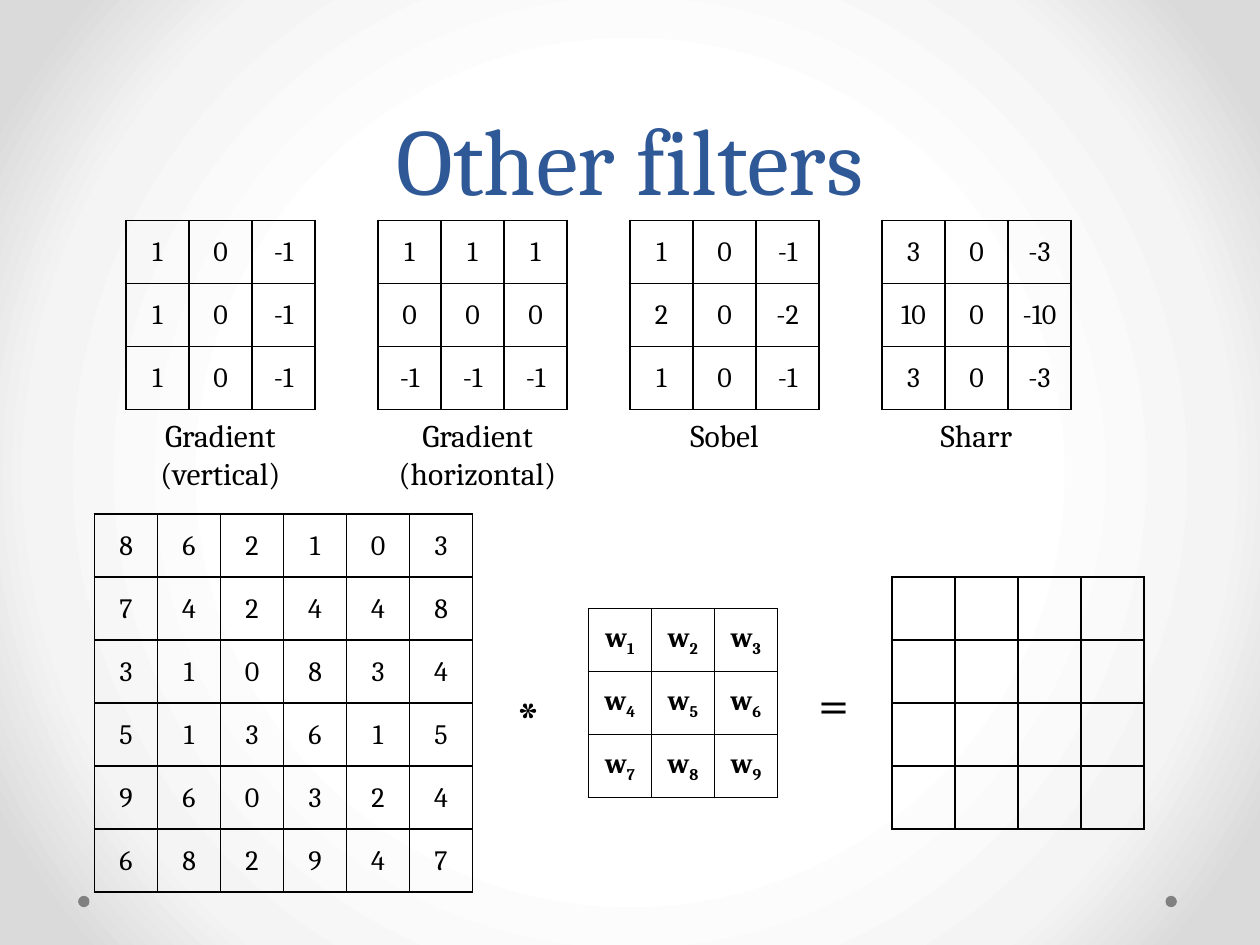
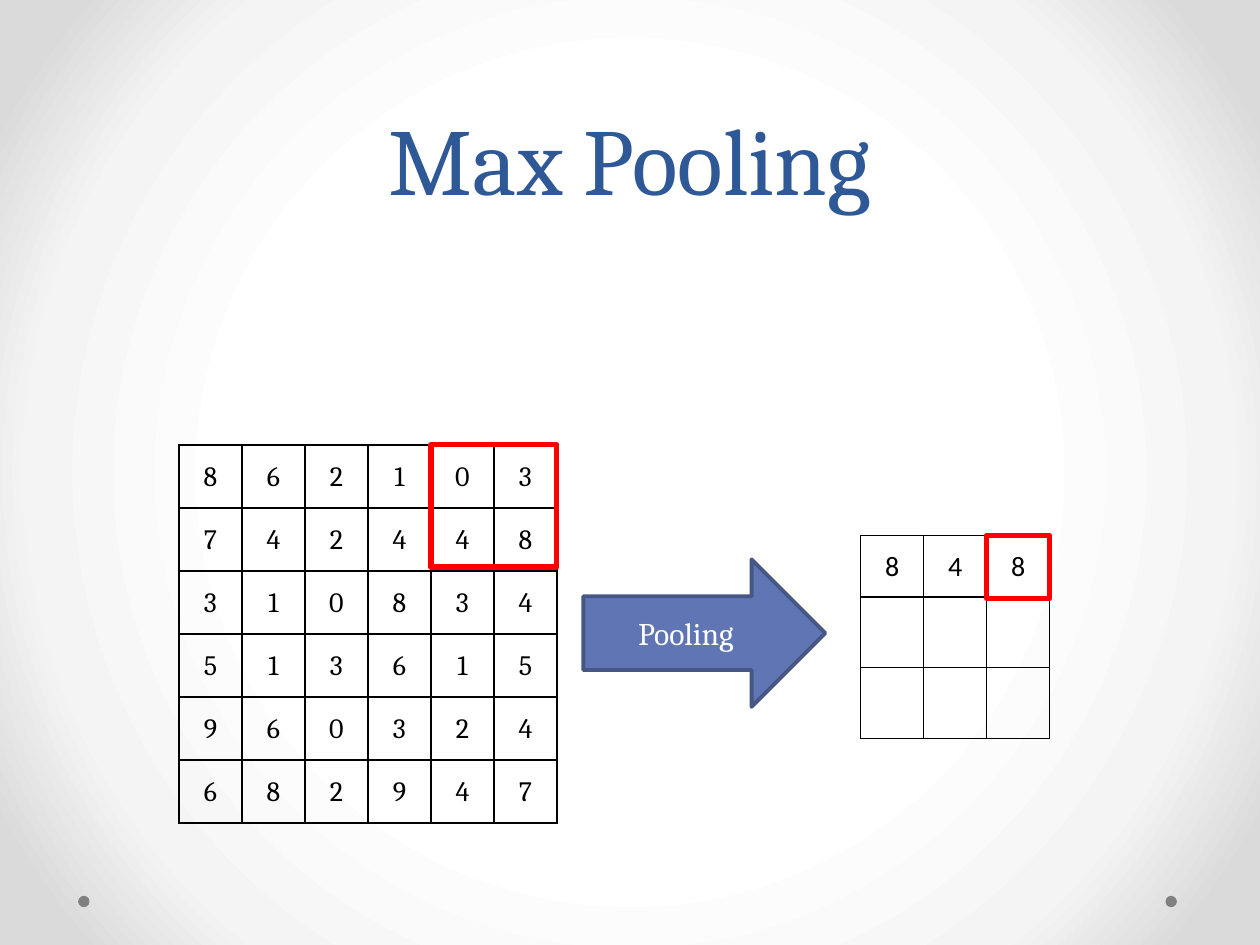
from pptx import Presentation
from pptx.dml.color import RGBColor
from pptx.enum.shapes import MSO_SHAPE as Kind
from pptx.enum.text import MSO_ANCHOR as Anchor, MSO_AUTO_SIZE as Fit, PP_ALIGN as Align
from pptx.oxml import parse_xml
from pptx.oxml.ns import nsdecls
from pptx.util import Inches, Pt

# Content: each matrix is a list of rows, "_" starts a subscript
FILTERS = [
    ("Gradient\n(vertical)", ["1 0 -1"] * 3),
    ("Gradient\n(horizontal)", ["1 1 1", "0 0 0", "-1 -1 -1"]),
    ("Sobel", ["1 0 -1", "2 0 -2", "1 0 -1"]),
    ("Sharr", ["3 0 -3", "10 0 -10", "3 0 -3"]),
]
IMAGE = ["8 6 2 1 0 3", "7 4 2 4 4 8", "3 1 0 8 3 4",
         "5 1 3 6 1 5", "9 6 0 3 2 4", "6 8 2 9 4 7"]
WEIGHTS = ["w_1 w_2 w_3", "w_4 w_5 w_6", "w_7 w_8 w_9"]
POOLED = ["8 4 8"]
SIGNS = [("*", 4, 5.38), ("=", 6.4, 5.26)]

# Shared look
WIDE, HIGH, CELL = 10, 7.5, 0.5
BLACK, WHITE, BLUE, GREY, RED = "000000", "FFFFFF", "2F5897", "808080", "FF0000"
ARROW, EDGE = "6076B4", "475785"
SERIF, SANS = "Cambria", "Calibri"
GLOW = [(0, WHITE), (50, WHITE), (76, "F4F4F4"), (92, "DADADA"), (100, "DADADA")]
DOTS, DOT_TOP, DOT = (0.62, 9.25), 7.11, 0.09


def rgb(code):
    return RGBColor.from_string(code)


def box(*sizes):
    return [Inches(n) for n in sizes]


def write(frame, text, size=18, color=BLACK, font=SERIF, bold=False,
          align=Align.CENTER, lead=None):
    for i, line in enumerate(text.split("\n")):
        para = frame.add_paragraph() if i else frame.paragraphs[0]
        para.alignment = align
        if lead:
            para.line_spacing = Pt(lead)
        for k, part in enumerate(line.split("_")):
            run = para.add_run()
            run.text = part
            run.font.size, run.font.name, run.font.bold = Pt(size), font, bold
            run.font.color.rgb = rgb(color)
            if k:
                run.font._element.set("baseline", "-25000")


def label(slide, text, at, anchor=Anchor.TOP, fit=Fit.SHAPE_TO_FIT_TEXT, **look):
    frame = slide.shapes.add_textbox(*box(*at)).text_frame
    frame.word_wrap, frame.auto_size = True, fit
    frame.vertical_anchor = anchor
    write(frame, text, **look)


def shape(slide, kind, at, fill=None, line=None, weight=1):
    item = slide.shapes.add_shape(kind, *box(*at))
    item.shadow.inherit = False
    for paint, color in ((item.fill, fill), (item.line.fill, line)):
        if color:
            paint.solid()
            paint.fore_color.rgb = rgb(color)
        else:
            paint.background()
    if line:
        item.line.width = Pt(weight)
    return item


def frame_cell(cell):
    cell.fill.background()
    props = cell._tc.get_or_add_tcPr()
    for i, side in enumerate("LRTB"):
        props.insert(i, parse_xml(
            f'<a:ln{side} {nsdecls("a")} w="{Pt(1)}"><a:solidFill>'
            f'<a:srgbClr val="{BLACK}"/></a:solidFill></a:ln{side}>'))


def matrix(slide, lines, left, top, count=None, heights=None, **look):
    """Draw a square matrix; rows beyond the given lines stay empty."""
    count = count or len(lines)
    heights = heights or [CELL] * count
    grid = slide.shapes.add_table(
        count, count, *box(left, top, count * CELL, sum(heights))).table
    grid.first_row = grid.horz_banding = False
    for col in grid.columns:
        col.width = Inches(CELL)
    for row, high in zip(grid.rows, heights):
        row.height = Inches(high)
    for cell in grid.iter_cells():
        frame_cell(cell)
    for r, line in enumerate(lines):
        for c, text in enumerate(line.split()):
            cell = grid.cell(r, c)
            cell.vertical_anchor = Anchor.MIDDLE
            cell.margin_left = cell.margin_right = cell.margin_top = Inches(0.01)
            cell.margin_bottom = 0
            write(cell.text_frame, text, size=16, **look)


def start(deck, title):
    """Add a slide with the radial background, corner dots and title."""
    slide = deck.slides.add_slide(deck.slide_layouts[6])
    stops = "".join(f'<a:gs pos="{at * 1000}"><a:srgbClr val="{color}"/></a:gs>'
                    for at, color in GLOW)
    slide.element.cSld.insert(0, parse_xml(
        f'<p:bg {nsdecls("p", "a")}><p:bgPr><a:gradFill rotWithShape="1">'
        f'<a:gsLst>{stops}</a:gsLst><a:path path="circle">'
        '<a:fillToRect l="50000" t="50000" r="50000" b="50000"/></a:path>'
        '</a:gradFill><a:effectLst/></p:bgPr></p:bg>'))
    for left in DOTS:
        shape(slide, Kind.OVAL, (left, DOT_TOP, DOT, DOT), fill=GREY)
    label(slide, title, (0.5, 0, WIDE - 1, 1.75), anchor=Anchor.BOTTOM,
          fit=Fit.NONE, size=54, color=BLUE, lead=58)
    return slide


def filters(deck):
    slide = start(deck, "Other filters")
    # Row of named filters
    for i, (name, lines) in enumerate(FILTERS):
        left, top = 1 + 2 * i, 1.75
        matrix(slide, lines, left, top)
        wide = 1.58 if "horizontal" in name else 3 * CELL
        high = 0.71 if "\n" in name else 0.4
        label(slide, name, (left, top + 3 * CELL, wide, high))
    # Image * weights = result
    matrix(slide, IMAGE, 0.75, 4.08)
    matrix(slide, WEIGHTS, 4.67, 4.83, bold=True)
    matrix(slide, [], 7.08, 4.58, count=4)
    for sign, left, top in SIGNS:
        label(slide, sign, (left, top, 0.42, 0.64), size=32, align=Align.LEFT)


def pooling(deck):
    slide = start(deck, "Max Pooling")
    left, top = 1.42, 3.53
    out, peak = 6.83, 4.25
    matrix(slide, IMAGE, left, top)
    matrix(slide, POOLED, out, peak, count=3, heights=[0.49, 0.56, 0.56], font=SANS)
    arrow = shape(slide, Kind.RIGHT_ARROW, (4.63, 4.44, 1.92, 1.17),
                  fill=ARROW, line=EDGE, weight=2.25)
    arrow.text_frame.vertical_anchor = Anchor.MIDDLE
    write(arrow.text_frame, "Pooling", color=WHITE)
    # Pooled cell and the window it comes from
    for at in ((out + 2 * CELL, peak, CELL, CELL),
               (left + 4 * CELL, top, 2 * CELL, 0.97)):
        shape(slide, Kind.RECTANGLE, at, line=RED, weight=3)


def main():
    deck = Presentation()
    deck.slide_width, deck.slide_height = box(WIDE, HIGH)
    filters(deck)
    pooling(deck)
    deck.save("out.pptx")


if __name__ == "__main__":
    main()
